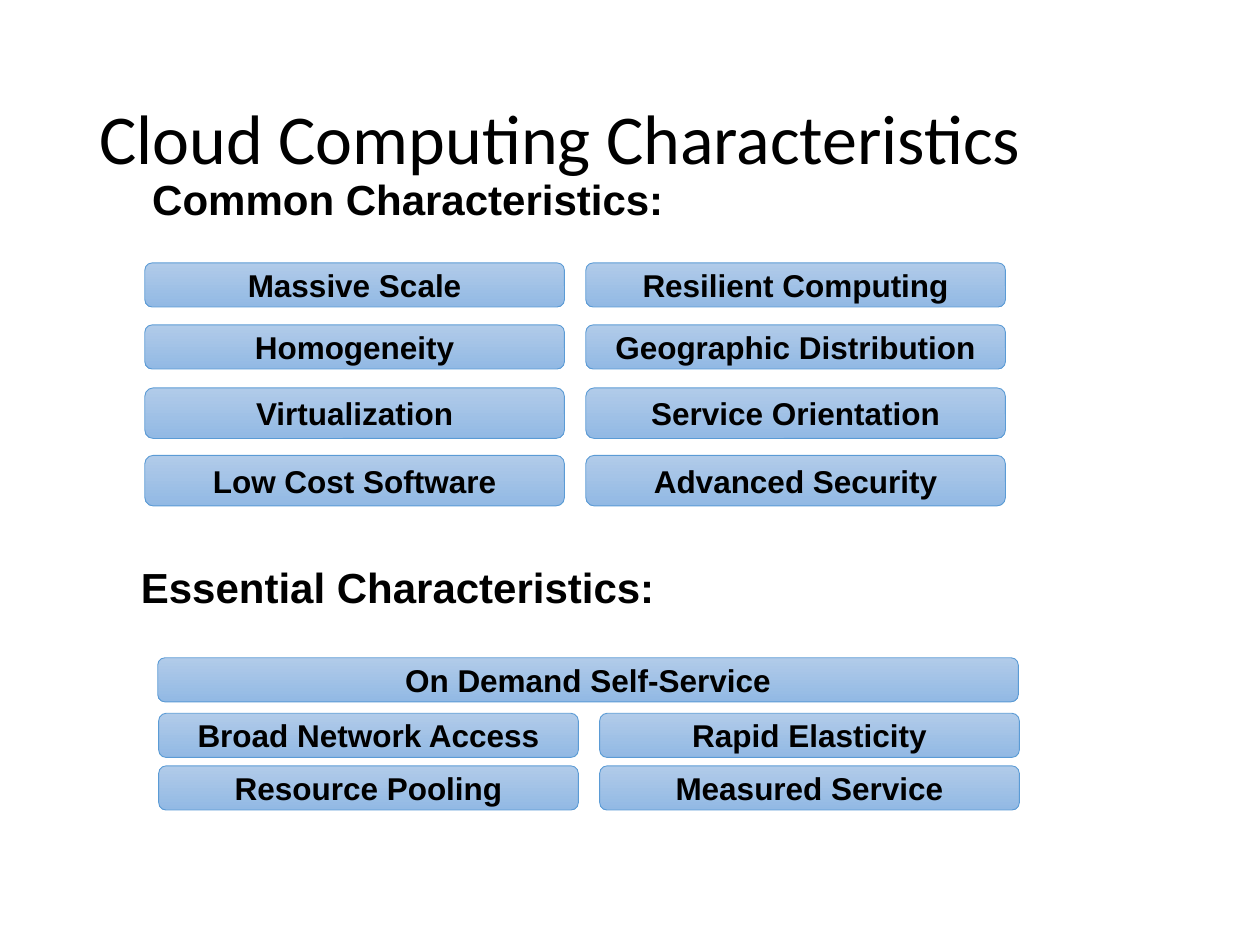
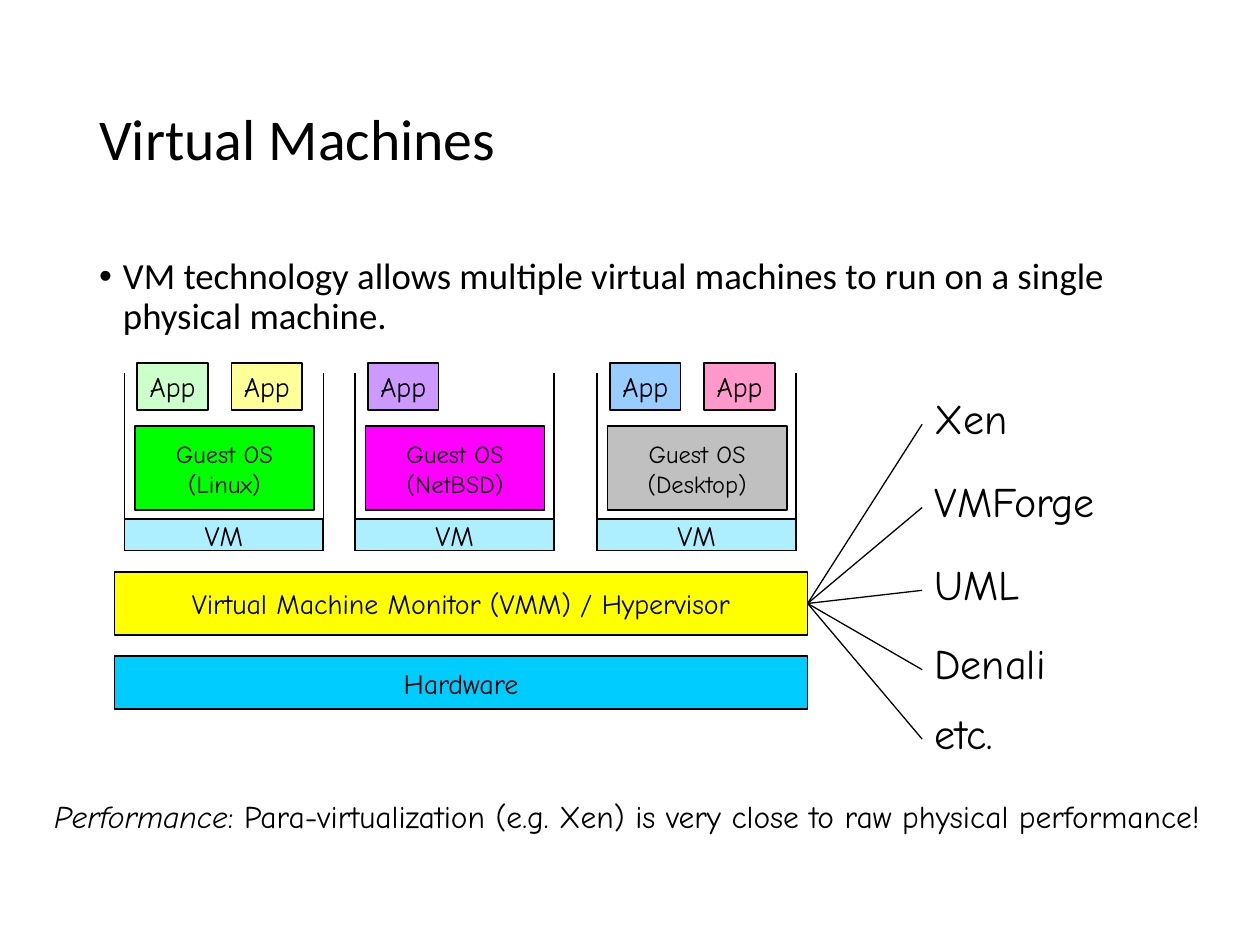
from lxml.etree import SubElement
from pptx import Presentation
from pptx.dml.color import RGBColor
from pptx.enum.shapes import MSO_CONNECTOR, MSO_SHAPE
from pptx.enum.text import MSO_ANCHOR, PP_ALIGN
from pptx.oxml.ns import qn
from pptx.util import Cm, Pt

# Shared colours and fonts
BLACK = RGBColor(0x00, 0x00, 0x00)
PILL_TOP = RGBColor(0xB1, 0xCB, 0xE9)
PILL_BOTTOM = RGBColor(0x92, 0xB9, 0xE4)
PILL_LINE = RGBColor(0x5B, 0x9B, 0xD5)
SKY = RGBColor(0x00, 0xCC, 0xFF)
YELLOW = RGBColor(0xFF, 0xFF, 0x00)
GREEN = RGBColor(0x00, 0xFF, 0x00)
MAGENTA = RGBColor(0xFF, 0x00, 0xFF)
GREY = RGBColor(0xC0, 0xC0, 0xC0)
PALE_GREEN = RGBColor(0xCC, 0xFF, 0xCC)
PALE_YELLOW = RGBColor(0xFF, 0xFF, 0x99)
LILAC = RGBColor(0xCC, 0x99, 0xFF)
PALE_BLUE = RGBColor(0x99, 0xCC, 0xFF)
PINK = RGBColor(0xFF, 0x99, 0xCC)

BODY_FONT = "Calibri"
LABEL_FONT = "Arial"
DIAGRAM_FONT = "Comic Neue"

# Grid of labels on the first slide, in cm
PILL_WIDTH = 8.46
PILL_PITCH = 8.89

# Virtual machine frames on the second slide, in cm
VM_WIDTH = 4.01
VM_TOP = 7.52
VM_BOTTOM = 11.1
VM_STRIP_HEIGHT = 0.64
APP_PITCH = 1.9


def style_paragraph(paragraph, size, font, bold=False, spacing=None, align=PP_ALIGN.LEFT):
    paragraph.alignment = align
    if spacing:
        paragraph.line_spacing = spacing
    paragraph.font.size = Pt(size)
    paragraph.font.name = font
    paragraph.font.bold = bold
    paragraph.font.color.rgb = BLACK


def fill_frame(frame, text, size, font, wrap=True, anchor=MSO_ANCHOR.TOP, **style):
    frame.word_wrap = wrap
    frame.vertical_anchor = anchor
    for index, line in enumerate(text.split("\n")):
        paragraph = frame.add_paragraph() if index else frame.paragraphs[0]
        paragraph.text = line
        style_paragraph(paragraph, size, font, **style)


def add_text(slide, box, text, size, font, **style):
    text_box = slide.shapes.add_textbox(*map(Cm, box))
    fill_frame(text_box.text_frame, text, size, font, **style)
    return text_box


def add_title(slide, text, size):
    add_text(slide, (1.75, 1.02, 21.92, 3.68), text, size, BODY_FONT,
             anchor=MSO_ANCHOR.MIDDLE, spacing=0.9)


def add_heading(slide, left, top, text):
    add_text(slide, (left, top, 11.5, 1.27), text, 24, LABEL_FONT, bold=True)


def add_bullet(slide, box, text):
    text_box = slide.shapes.add_textbox(*map(Cm, box))
    paragraph = text_box.text_frame.paragraphs[0]
    properties = paragraph._p.get_or_add_pPr()
    properties.set("marL", str(Cm(0.48)))
    properties.set("indent", str(-Cm(0.48)))
    SubElement(properties, qn("a:buFont"), typeface="Arial")
    SubElement(properties, qn("a:buChar"), char="•")
    fill_frame(text_box.text_frame, text, 21, BODY_FONT, spacing=0.9)


def add_pill(slide, left, top, width, height, text):
    pill = slide.shapes.add_shape(MSO_SHAPE.ROUNDED_RECTANGLE,
                                  *map(Cm, (left, top, width, height)))
    pill.shadow.inherit = False
    pill.fill.gradient()
    pill.fill.gradient_angle = 270
    for stop, color in zip(pill.fill.gradient_stops, (PILL_TOP, PILL_BOTTOM)):
        stop.color.rgb = color
    pill.line.color.rgb = PILL_LINE
    pill.line.width = Pt(0.5)
    fill_frame(pill.text_frame, text, 18, LABEL_FONT, bold=True,
               anchor=MSO_ANCHOR.MIDDLE, align=PP_ALIGN.CENTER)


def add_pill_row(slide, left, top, height, labels):
    for column, label in enumerate(labels):
        add_pill(slide, left + column * PILL_PITCH, top, PILL_WIDTH, height, label)


def add_block(slide, box, text, color, size=16, opacity=None):
    block = slide.shapes.add_shape(MSO_SHAPE.RECTANGLE, *map(Cm, box))
    block.shadow.inherit = False
    block.fill.solid()
    block.fill.fore_color.rgb = color
    if opacity:
        color_element = block._element.spPr.find(qn("a:solidFill"))[0]
        SubElement(color_element, qn("a:alpha"), val=str(opacity * 1000))
    block.line.color.rgb = BLACK
    block.line.width = Pt(1)
    fill_frame(block.text_frame, text, size, DIAGRAM_FONT, wrap=False, spacing=1.02,
               anchor=MSO_ANCHOR.MIDDLE, align=PP_ALIGN.CENTER)
    return block


def add_line(slide, start, end, width=1):
    line = slide.shapes.add_connector(MSO_CONNECTOR.STRAIGHT, *map(Cm, start + end))
    line.line.color.rgb = BLACK
    line.line.width = Pt(width)
    SubElement(line._element.spPr, qn("a:effectLst"))
    return line


def add_virtual_machine(slide, left, system, system_color, app_colors):
    right = left + VM_WIDTH
    add_block(slide, (left + 0.21, 8.59, 3.61, 1.7), f"Guest OS\n({system})",
              system_color, size=14)
    # Open-topped frame around the strip
    corners = [(left, VM_TOP), (left, VM_BOTTOM), (right, VM_BOTTOM), (right, VM_TOP)]
    for start, end in zip(corners, corners[1:]):
        add_line(slide, start, end)
    add_block(slide, (left, VM_BOTTOM - VM_STRIP_HEIGHT, VM_WIDTH, VM_STRIP_HEIGHT),
              "VM", SKY, opacity=32)
    for index, color in enumerate(app_colors):
        add_block(slide, (left + 0.26 + index * APP_PITCH, 7.32, 1.42, 0.94), "App", color)


def build_characteristics(slide):
    add_title(slide, "Cloud Computing Characteristics", 40)

    # Common characteristics
    add_heading(slide, 2.82, 3.38, "Common Characteristics:")
    common_rows = [
        (5.3, 0.89, ("Massive Scale", "Resilient Computing")),
        (6.55, 0.89, ("Homogeneity", "Geographic Distribution")),
        (7.82, 1.02, ("Virtualization", "Service Orientation")),
        (9.18, 1.02, ("Low Cost Software", "Advanced Security")),
    ]
    for top, height, labels in common_rows:
        add_pill_row(slide, 2.92, top, height, labels)

    # Essential characteristics
    add_heading(slide, 2.59, 11.2, "Essential Characteristics:")
    add_pill(slide, 3.18, 13.26, PILL_PITCH + PILL_WIDTH, 0.89, "On Demand Self-Service")
    add_pill_row(slide, 3.2, 14.38, 0.89, ("Broad Network Access", "Rapid Elasticity"))
    add_pill_row(slide, 3.2, 15.44, 0.89, ("Resource Pooling", "Measured Service"))


def build_virtual_machines(slide):
    add_title(slide, "Virtual Machines", 33)
    add_bullet(slide, (1.75, 5.08, 21.92, 12.09),
               "VM technology allows multiple virtual machines to run on a single "
               "physical machine.")

    # Stack of layers
    add_block(slide, (2.31, 13.23, 13.97, 1.07), "Hardware", SKY)
    hypervisor = add_block(slide, (2.31, 11.53, 13.97, 1.27),
                           "Virtual Machine Monitor (VMM) / Hypervisor", YELLOW)
    add_virtual_machine(slide, 2.51, "Linux", GREEN, (PALE_GREEN, PALE_YELLOW))
    add_virtual_machine(slide, 7.16, "NetBSD", MAGENTA, (LILAC,))
    add_virtual_machine(slide, 12.04, "Desktop", GREY, (PALE_BLUE, PINK))

    # Hypervisor examples
    examples = [("Xen", 7.9), ("VMForge", 9.58), ("UML", 11.25),
                ("Denali", 12.85), ("etc.", 14.25)]
    for name, top in examples:
        add_text(slide, (18.59, top, 6.68, 1.3), name, 24, DIAGRAM_FONT, spacing=0.9)
        link = add_line(slide, (16.28, 12.17), (18.59, top + 0.65), 0.75)
        link.begin_connect(hypervisor, 3)

    # Performance note
    note = add_text(slide, (0.84, 16.03, 24.56, 1.7), "Performance", 18, DIAGRAM_FONT,
                    spacing=0.9)
    paragraph = note.text_frame.paragraphs[0]
    paragraph.runs[0].font.italic = True
    paragraph.add_run().text = (": Para-virtualization (e.g. Xen) is very close to "
                                "raw physical performance!")


def main():
    presentation = Presentation()
    presentation.slide_width = Cm(25.4)
    presentation.slide_height = Cm(19.05)
    blank = presentation.slide_layouts[6]
    for build in (build_characteristics, build_virtual_machines):
        build(presentation.slides.add_slide(blank))
    presentation.save("out.pptx")


if __name__ == "__main__":
    main()
